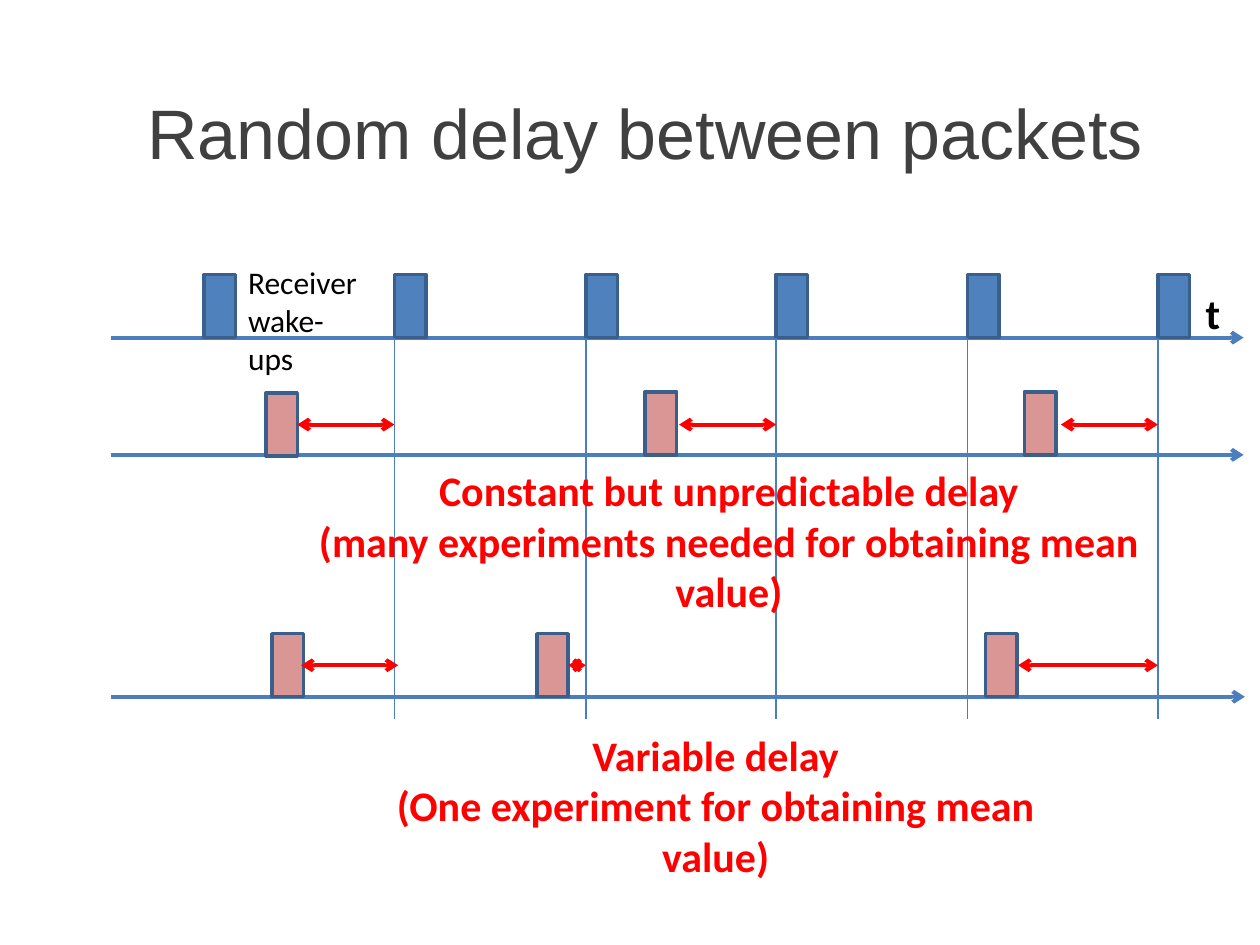
from dataclasses import dataclass

from pptx import Presentation
from pptx.dml.color import RGBColor
from pptx.enum.shapes import MSO_CONNECTOR, MSO_SHAPE
from pptx.enum.text import MSO_ANCHOR, PP_ALIGN
from pptx.oxml.ns import qn
from pptx.util import Pt
from lxml import etree

RECT = MSO_SHAPE.RECTANGLE
STRAIGHT = MSO_CONNECTOR.STRAIGHT
MIDDLE, TOP = MSO_ANCHOR.MIDDLE, MSO_ANCHOR.TOP
LEFT, CENTER = PP_ALIGN.LEFT, PP_ALIGN.CENTER

BLUE = RGBColor(0x4F, 0x81, 0xBD)
EDGE = RGBColor(0x3A, 0x5F, 0x8C)
AXIS = RGBColor(0x4B, 0x7E, 0xBC)
PINK = RGBColor(0xD9, 0x96, 0x94)
RED = RGBColor(0xFF, 0x00, 0x00)
GRAY = RGBColor(0x40, 0x40, 0x40)
BLACK = RGBColor(0x00, 0x00, 0x00)

PX = 9144  # EMU per px, 100 px to the inch
BAR_W, BAR_H = 25, 50
AXIS_X = 88
WAKE_Y = 268
GRID_END = 571
WAKES = [round(162 + 151.4 * i) for i in range(6)]


@dataclass
class Packet:
    left: int
    top: int
    start: int  # delay arrow, from and to
    end: int


@dataclass
class Row:
    base: int
    right: int
    mid: int  # height of the delay arrows
    packets: list[Packet]


@dataclass
class Label:
    box: tuple[int, int, int, int]
    lines: list[str]
    size: int
    color: RGBColor = BLACK
    bold: bool = False
    font: str = "Calibri"
    align: PP_ALIGN = LEFT
    anchor: MSO_ANCHOR = TOP
    wrap: bool = True


ROWS = [
    Row(361, 987, 337, [Packet(211, 312, 236, 313),
                        Packet(512, 311, 539, 616),
                        Packet(813, 311, 842, 919)]),
    Row(553, 988, 528, [Packet(216, 503, 239, 316),
                        Packet(426, 503, 451, 465),
                        Packet(782, 503, 808, 919)]),
]

LABELS = [
    Label((105, 65, 814, 78), ["Random delay between packets"], 40, GRAY,
          font="Arial", align=CENTER, anchor=MIDDLE, wrap=False),
    Label((187, 204, 115, 64), ["Receiver wake-ups"], 18),
    Label((947, 223, 30, 45), ["t"], 24, bold=True, wrap=False),
    Label((208, 364, 741, 82),
          ["Constant but unpredictable delay",
           "(many experiments needed for obtaining mean value)"],
          24, RED, True, align=CENTER),
    Label((271, 574, 594, 82),
          ["Variable delay", "(One experiment for obtaining mean value)"],
          24, RED, True, align=CENTER),
]


def draw_bar(shapes, left: int, top: int, fill: RGBColor) -> None:
    bar = shapes.add_shape(RECT, left * PX, top * PX, BAR_W * PX, BAR_H * PX)
    bar.shadow.inherit = False
    bar.fill.solid()
    bar.fill.fore_color.rgb = fill
    bar.line.color.rgb = EDGE
    bar.line.width = Pt(2)


def draw_line(shapes, x1: int, y1: int, x2: int, y2: int, color: RGBColor,
              width: float, ends: tuple[str, ...] = ()) -> None:
    line = shapes.add_connector(STRAIGHT, x1 * PX, y1 * PX, x2 * PX, y2 * PX)
    line.line.color.rgb = color
    line.line.width = Pt(width)
    props = line._element.spPr
    for end in ends:
        etree.SubElement(props.find(qn("a:ln")), qn(end), type="arrow")
    etree.SubElement(props, qn("a:effectLst"))


def draw_axis(shapes, y: int, right: int) -> None:
    draw_line(shapes, AXIS_X, y, right, y, AXIS, 2.25, ("a:tailEnd",))


def draw_row(shapes, row: Row) -> None:
    draw_axis(shapes, row.base, row.right)
    for pack in row.packets:
        draw_bar(shapes, pack.left, pack.top, PINK)
        draw_line(shapes, pack.start, row.mid, pack.end, row.mid, RED, 2.25,
                  ("a:headEnd", "a:tailEnd"))


def draw_label(shapes, label: Label) -> None:
    frame = shapes.add_textbox(*(n * PX for n in label.box)).text_frame
    frame.word_wrap = label.wrap
    frame.vertical_anchor = label.anchor
    frame.text = "\n".join(label.lines)
    for para in frame.paragraphs:
        para.alignment = label.align
        font = para.font
        font.name = label.font
        font.size = Pt(label.size)
        font.bold = label.bold
        font.color.rgb = label.color


def main() -> None:
    deck = Presentation()
    deck.slide_width, deck.slide_height = 1000 * PX, 750 * PX
    shapes = deck.slides.add_slide(deck.slide_layouts[6]).shapes

    # Receiver wake-ups, with a guide line below each but the first
    draw_axis(shapes, WAKE_Y, 987)
    for x in WAKES:
        draw_bar(shapes, x, WAKE_Y - BAR_H, BLUE)
    for x in WAKES[1:]:
        draw_line(shapes, x, WAKE_Y, x, GRID_END, AXIS, 0.75)

    # Packets and their delays
    for row in ROWS:
        draw_row(shapes, row)

    # Title and labels
    for label in LABELS:
        draw_label(shapes, label)

    deck.save("out.pptx")


if __name__ == "__main__":
    main()
